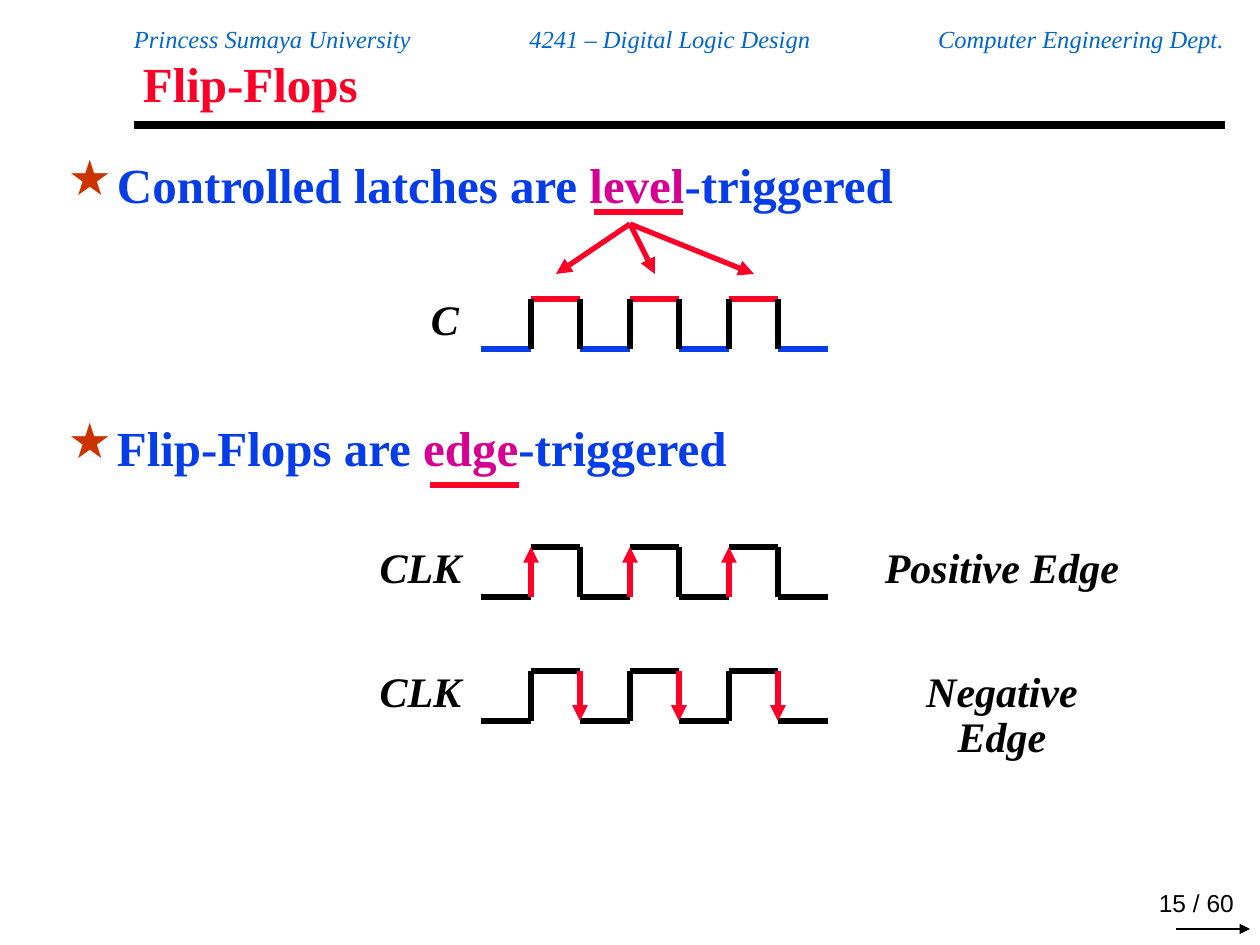
from dataclasses import dataclass
from typing import Optional

from lxml.etree import SubElement
from pptx import Presentation
from pptx.dml.color import RGBColor
from pptx.enum.shapes import MSO_CONNECTOR
from pptx.enum.text import MSO_ANCHOR as Anchor, PP_ALIGN as Align
from pptx.oxml.ns import qn
from pptx.util import Emu, Pt

PX_PER_INCH = 126
SERIF, SANS = "Times New Roman", "Arial"
BLACK = RGBColor(0x00, 0x00, 0x00)
RED = RGBColor(0xFC, 0x01, 0x28)
BLUE = RGBColor(0x06, 0x3D, 0xE8)
MAGENTA = RGBColor(0xD6, 0x00, 0x93)
HEADER_BLUE = RGBColor(0x00, 0x66, 0xCC)
STAR_COLOR = RGBColor(0xCC, 0x33, 0x00)

WAVE_LEFT, WAVE_WIDTH, WAVE_HEIGHT, HALF_CYCLES = 481, 347, 50, 7
LABEL_HEIGHT = 45


@dataclass(frozen=True)
class Style:
    size: int
    color: RGBColor
    font: str = SERIF
    bold: bool = False
    italic: bool = False


@dataclass(frozen=True)
class Label:
    text: str
    left: int
    width: int


@dataclass(frozen=True)
class Wave:
    top: int
    labels: tuple[Label, ...]
    high: RGBColor = BLACK
    low: RGBColor = BLACK
    active_edge: Optional[str] = None  # "rise" or "fall"


@dataclass(frozen=True)
class Bullet:
    before: str
    keyword: str
    after: str
    space_before: int


HEADER = Style(14, HEADER_BLUE, italic=True)
TITLE = Style(28, RED, bold=True)
BODY = Style(28, BLUE, bold=True)
KEYWORD = Style(28, MAGENTA, bold=True)
LABEL = Style(24, BLACK, bold=True, italic=True)
PAGE = Style(14, BLACK, font=SANS)

CLK = Label("CLK", 379, 83)
WAVES = (
    Wave(299, (Label("C", 431, 28),), high=RED, low=BLUE),
    Wave(547, (CLK, Label("Positive Edge", 878, 248)), active_edge="rise"),
    Wave(671, (CLK, Label("Negative Edge", 877, 250)), active_edge="fall"),
)
BULLETS = (
    Bullet("Controlled latches are ", "level", "-triggered", 0),
    Bullet("Flip-Flops are ", "edge", "-triggered", 117),
)


def px(n: int) -> Emu:
    return Emu(round(n * 914400 / PX_PER_INCH))


def add_line(shapes, x1: int, y1: int, x2: int, y2: int, color: RGBColor,
             width: float = 3, arrow: bool = False) -> None:
    c = shapes.add_connector(MSO_CONNECTOR.STRAIGHT, px(x1), px(y1), px(x2), px(y2))
    c.line.color.rgb = color
    c.line.width = Pt(width)
    if arrow:
        SubElement(c.line._get_or_add_ln(), qn("a:tailEnd"), type="triangle")
    SubElement(c._element.spPr, qn("a:effectLst"))


def style_run(r, style: Style) -> None:
    f = r.font
    f.name, f.size = style.font, Pt(style.size)
    f.bold, f.italic = style.bold, style.italic
    f.color.rgb = style.color


def add_box(shapes, left: int, top: int, width: int, height: int,
            inset_x: int = 0, inset_y: int = 0):
    """Add an empty wrapping text box and return its text frame."""
    tf = shapes.add_textbox(px(left), px(top), px(width), px(height)).text_frame
    tf.word_wrap = True
    tf.margin_left = tf.margin_right = px(inset_x)
    tf.margin_top = tf.margin_bottom = px(inset_y)
    return tf


def fill_text(tf, text: str, style: Style, align: Align = Align.LEFT,
              spacing: float = 1.0) -> None:
    p = tf.paragraphs[0]
    p.text = text
    p.alignment = align
    p.line_spacing = spacing
    for r in p.runs:
        style_run(r, style)


def add_tabs(p, stops: tuple[tuple[int, str], ...]) -> None:
    tabs = SubElement(p._p.get_or_add_pPr(), qn("a:tabLst"))
    for position, align in stops:
        SubElement(tabs, qn("a:tab"), pos=str(px(position)), algn=align)


def add_star(p, indent: int) -> None:
    pPr = p._p.get_or_add_pPr()
    pPr.set("marL", str(px(indent)))
    pPr.set("indent", str(-px(indent)))
    color = SubElement(pPr, qn("a:buClr"))
    SubElement(color, qn("a:srgbClr"), val=str(STAR_COLOR))
    SubElement(pPr, qn("a:buChar"), char="★")


def add_bullets(shapes) -> None:
    tf = add_box(shapes, 59, 150, 1142, 334, 9, 4)
    for i, bullet in enumerate(BULLETS):
        p = tf.add_paragraph() if i else tf.paragraphs[0]
        add_star(p, 49)
        p.space_before = Pt(bullet.space_before)
        for text, style in ((bullet.before, BODY), (bullet.keyword, KEYWORD),
                            (bullet.after, BODY)):
            r = p.add_run()
            r.text = text
            style_run(r, style)


def add_wave(shapes, wave: Wave) -> None:
    """Draw a clock signal that starts low, with its labels, as one group."""
    group = shapes.add_group_shape().shapes
    xs = [WAVE_LEFT + round(WAVE_WIDTH * i / HALF_CYCLES) for i in range(HALF_CYCLES + 1)]
    top, bottom = wave.top, wave.top + WAVE_HEIGHT
    for i, (x1, x2) in enumerate(zip(xs, xs[1:])):
        is_high = i % 2 == 1
        level, color = (top, wave.high) if is_high else (bottom, wave.low)
        add_line(group, x1, level, x2, level, color)
        if i:
            active = wave.active_edge == ("rise" if is_high else "fall")
            start = bottom if is_high else top
            add_line(group, x1, start, x1, level, RED if active else BLACK, arrow=active)
    for label in wave.labels:
        tf = add_box(group, label.left, top, label.width, LABEL_HEIGHT)
        tf.word_wrap = False
        fill_text(tf, label.text, LABEL, Align.CENTER, 0.9)


def main() -> None:
    prs = Presentation()
    prs.slide_width, prs.slide_height = px(1260), px(945)
    s = prs.slides.add_slide(prs.slide_layouts[6])
    shapes = s.shapes

    add_line(shapes, 134, 125, 1225, 125, BLACK, 4.5)
    tf = add_box(shapes, 134, 27, 1091, 26)
    add_tabs(tf.paragraphs[0], ((536, "ctr"), (1090, "r")))
    fill_text(tf, "Princess Sumaya University\t4241 – Digital Logic Design"
                  "\tComputer Engineering Dept.", HEADER, spacing=0.9)
    fill_text(add_box(shapes, 134, 58, 1091, 58, 9, 4), "Flip-Flops", TITLE, spacing=0.87)
    add_bullets(shapes)

    for wave in WAVES:
        add_wave(shapes, wave)
    for tip in (556, 655, 754):
        add_line(shapes, 630, 224, tip, 274, RED, arrow=True)
    for left, y in ((594, 212), (430, 485)):
        add_line(shapes, left, y, left + 89, y, RED)

    tf = add_box(shapes, 1082, 883, 165, 40, 13, 6)
    tf.vertical_anchor = Anchor.BOTTOM
    fill_text(tf, "15 / 60", PAGE, Align.RIGHT)
    add_line(shapes, 1176, 929, 1250, 929, BLACK, 0.75, arrow=True)
    prs.save("out.pptx")


if __name__ == "__main__":
    main()
